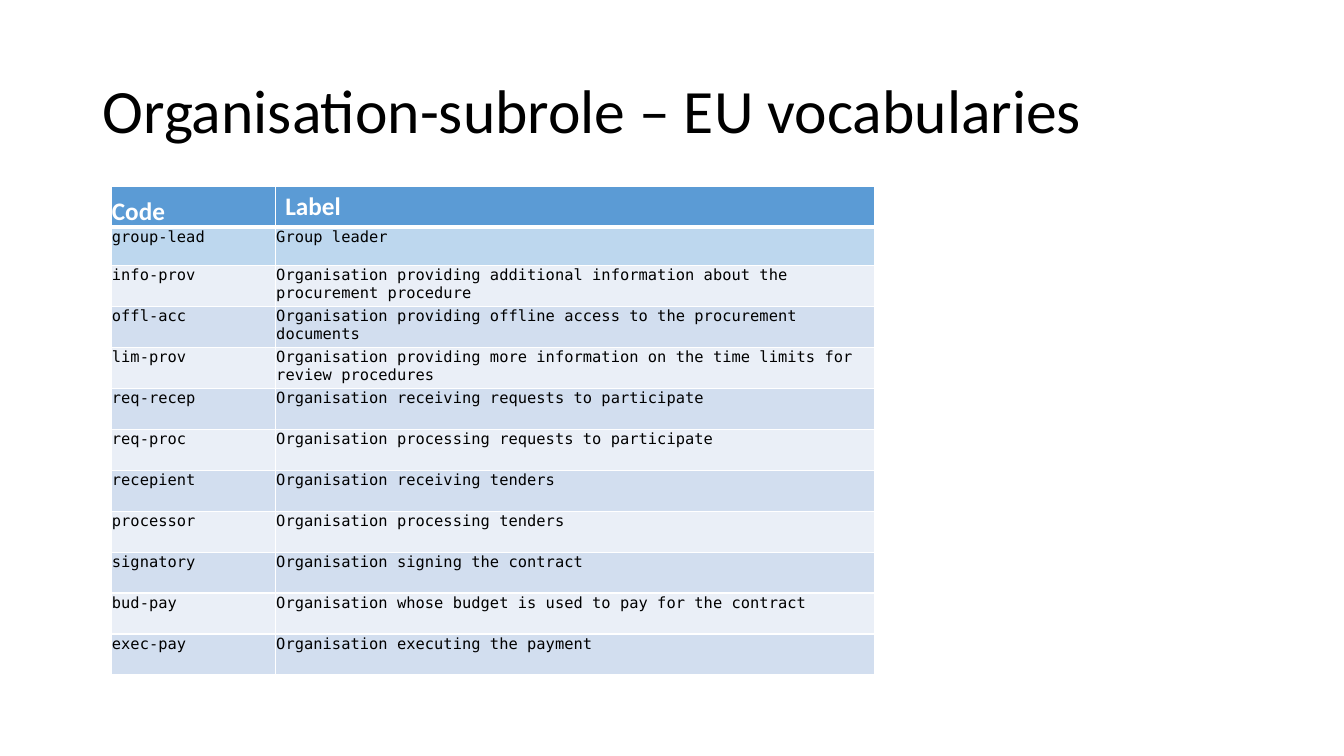
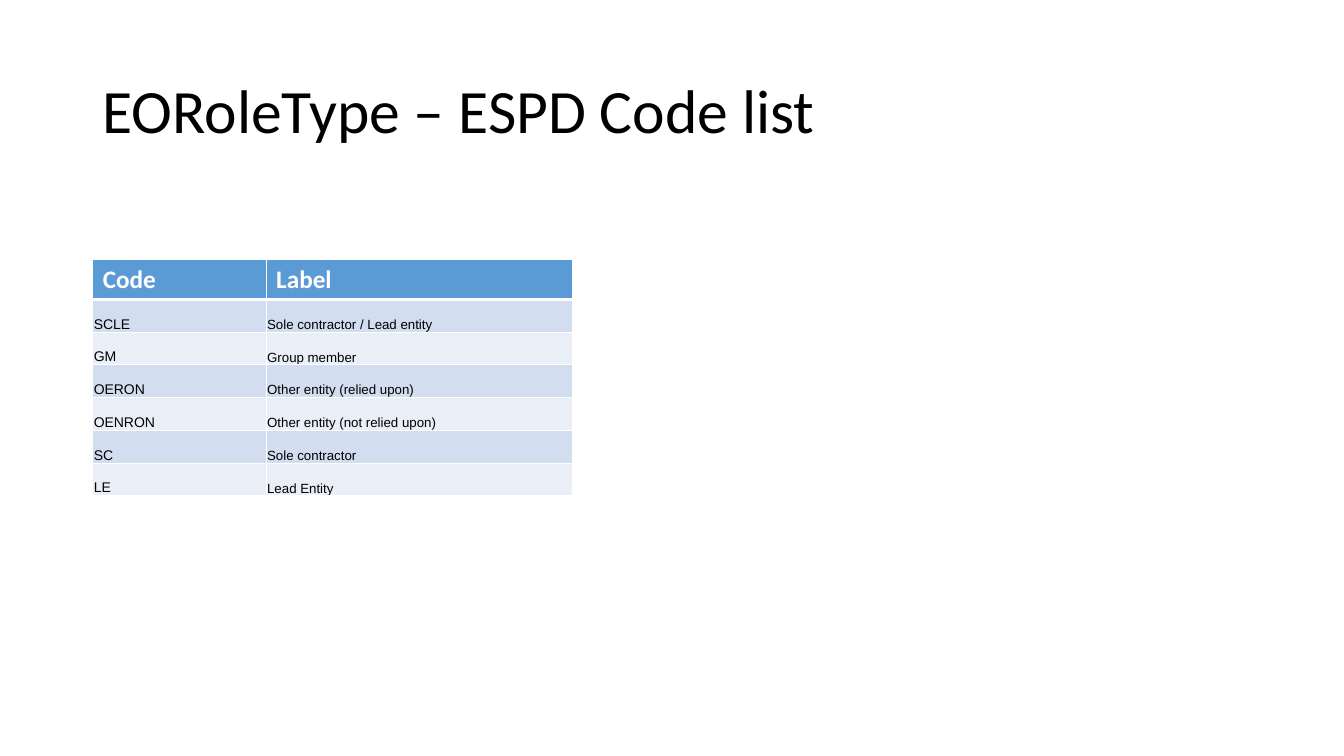
from lxml import etree
from pptx import Presentation
from pptx.dml.color import RGBColor
from pptx.enum.text import MSO_ANCHOR
from pptx.oxml.ns import qn
from pptx.util import Inches, Pt

TOP, MIDDLE, BOTTOM = MSO_ANCHOR.TOP, MSO_ANCHOR.MIDDLE, MSO_ANCHOR.BOTTOM
BLACK = RGBColor(0x00, 0x00, 0x00)
WHITE = RGBColor(0xFF, 0xFF, 0xFF)
HEADER_BLUE = RGBColor(0x5B, 0x9B, 0xD5)
HIGHLIGHT = RGBColor(0xBD, 0xD7, 0xEE)
BANDS = (RGBColor(0xEA, 0xEF, 0xF7), RGBColor(0xD2, 0xDE, 0xEF))
HEADING_FONT = "Calibri"
HEADER_HEIGHT = 0.4
ROOMY = (0.1, 0.05, 0.1, 0.05)
TIGHT = (0.01, 0.01, 0.01, 0)
HEADINGS = ("Code", "Label")

SUBROLES = [
    ("group-lead", "Group leader"),
    ("info-prov", "Organisation providing additional information about the procurement procedure"),
    ("offl-acc", "Organisation providing offline access to the procurement documents"),
    ("lim-prov", "Organisation providing more information on the time limits for review procedures"),
    ("req-recep", "Organisation receiving requests to participate"),
    ("req-proc", "Organisation processing requests to participate"),
    ("recepient", "Organisation receiving tenders"),
    ("processor", "Organisation processing tenders"),
    ("signatory", "Organisation signing the contract"),
    ("bud-pay", "Organisation whose budget is used to pay for the contract"),
    ("exec-pay", "Organisation executing the payment"),
]
ROLE_TYPES = [
    ("SCLE", "Sole contractor / Lead entity"),
    ("GM", "Group member"),
    ("OERON", "Other entity (relied upon)"),
    ("OENRON", "Other entity (not relied upon)"),
    ("SC", "Sole contractor"),
    ("LE", "Lead Entity"),
]


class Deck:
    def __init__(self):
        self.prs = Presentation()
        self.prs.slide_width, self.prs.slide_height = Inches(13.33), Inches(7.5)
        self.slide = None

    def add_slide(self, title):
        self.slide = self.prs.slides.add_slide(self.prs.slide_layouts[6])
        frame = self.slide.shapes.add_textbox(
            Inches(0.92), Inches(0.4), Inches(11.5), Inches(1.45)).text_frame
        frame.word_wrap = True
        frame.vertical_anchor = MIDDLE
        frame.paragraphs[0].line_spacing = 0.9
        self.add_text(frame, title, HEADING_FONT, 44, BLACK)

    def add_text(self, frame, text, font, size, color, bold=False):
        run = frame.paragraphs[0].add_run()
        run.text = text
        run.font.name, run.font.size, run.font.bold = font, Pt(size), bold
        run.font.color.rgb = color

    def style_cell(self, cell, fill, insets, anchor, top=1, bottom=1):
        (cell.margin_left, cell.margin_top,
         cell.margin_right, cell.margin_bottom) = map(Inches, insets)
        cell.vertical_anchor = anchor
        properties = cell._tc.get_or_add_tcPr()
        for side, width in (("L", 1), ("R", 1), ("T", top), ("B", bottom)):
            line = etree.SubElement(properties, qn(f"a:ln{side}"), w=str(Pt(width)))
            solid = etree.SubElement(line, qn("a:solidFill"))
            etree.SubElement(solid, qn("a:srgbClr"), val=str(WHITE))
        cell.fill.solid()
        cell.fill.fore_color.rgb = fill

    def code_table(self, left, top, height, widths, entries, font, sizes, anchor,
                   header_styles, first_height=None, first_fill=BANDS[1]):
        table = self.slide.shapes.add_table(
            len(entries) + 1, len(widths), Inches(left), Inches(top),
            Inches(sum(widths)), Inches(height)).table
        table.horz_banding = False
        for column, width in zip(table.columns, widths):
            column.width = Inches(width)

        fixed = [HEADER_HEIGHT] + ([first_height] if first_height else [])
        flexible = len(entries) + 1 - len(fixed)
        row_heights = fixed + [(height - sum(fixed)) / flexible] * flexible
        for row, row_height in zip(table.rows, row_heights):
            row.height = Inches(row_height)

        for column, heading in enumerate(HEADINGS):
            cell = table.cell(0, column)
            self.style_cell(cell, HEADER_BLUE, *header_styles[column], bottom=3)
            self.add_text(cell.text_frame, heading, HEADING_FONT, 18, WHITE, True)

        for row, entry in enumerate(entries, 1):
            fill = first_fill if row == 1 else BANDS[row % 2]
            for column, text in enumerate(entry):
                cell = table.cell(row, column)
                self.style_cell(cell, fill, TIGHT, anchor, top=3 if row == 1 else 1)
                self.add_text(cell.text_frame, text, font, sizes[column], BLACK)


deck = Deck()

deck.add_slide("Organisation-subrole – EU vocabularies")
deck.code_table(1.1, 1.85, 4.85, (1.63, 5.94), SUBROLES, "DejaVu Sans Mono", (11, 11), TOP,
                header_styles=((TIGHT, BOTTOM), (ROOMY, TOP)),
                first_height=0.38, first_fill=HIGHLIGHT)

deck.add_slide("EORoleType – ESPD Code list")
deck.code_table(0.92, 2.57, 2.35, (1.72, 3.04), ROLE_TYPES, "Arial", (10, 9.5), BOTTOM,
                header_styles=((ROOMY, TOP), (ROOMY, TOP)))

deck.prs.save("out.pptx")
